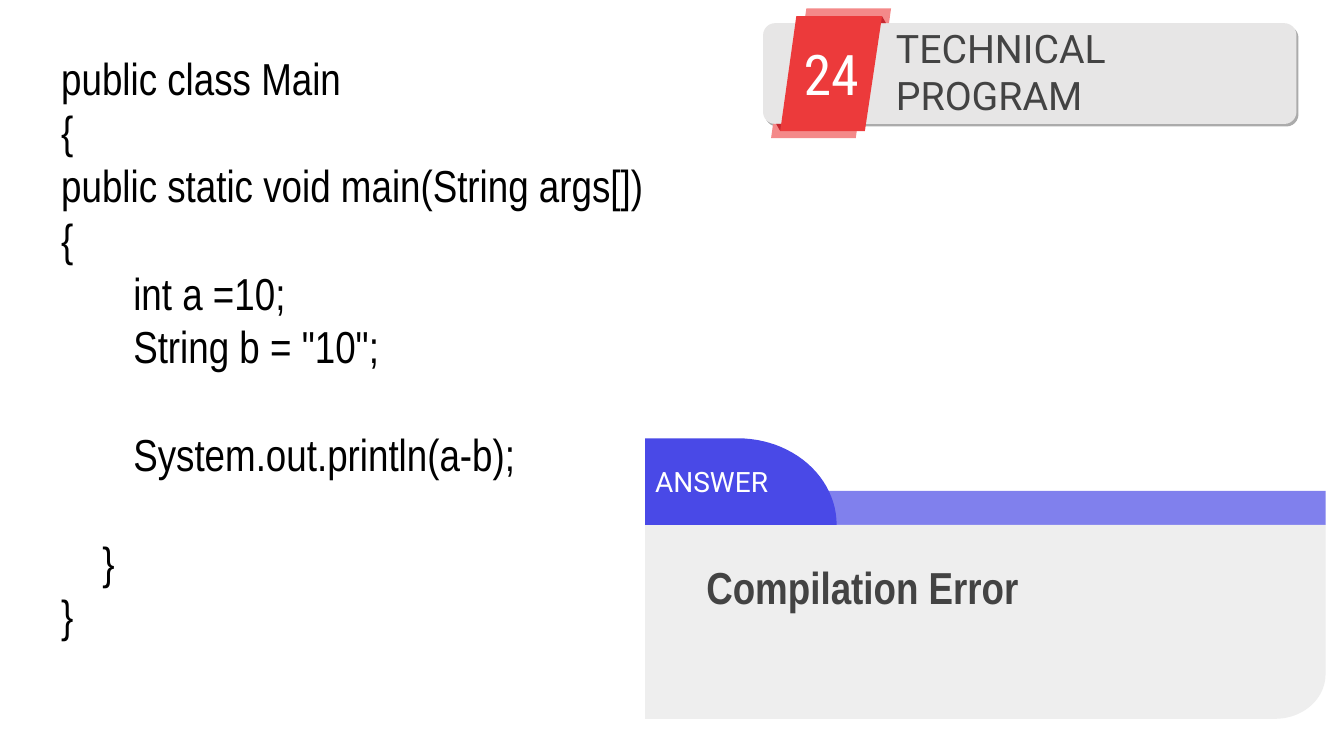
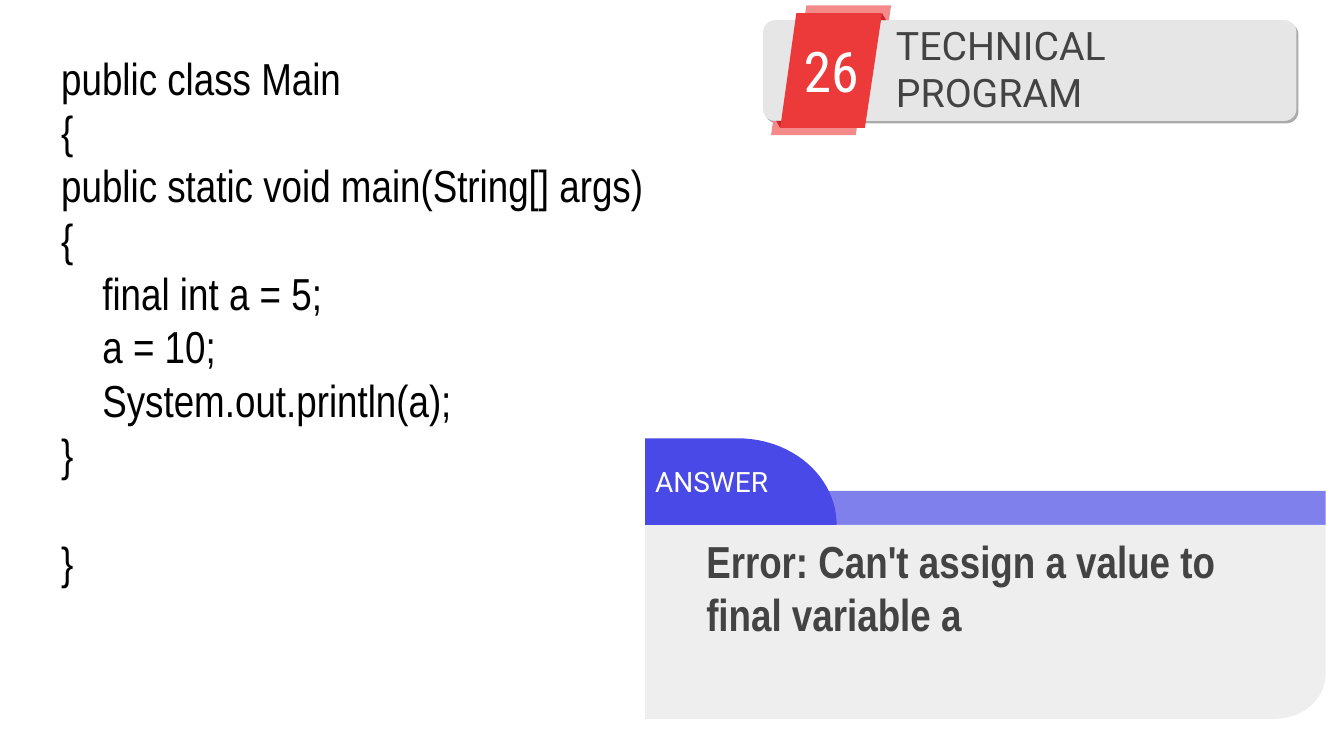
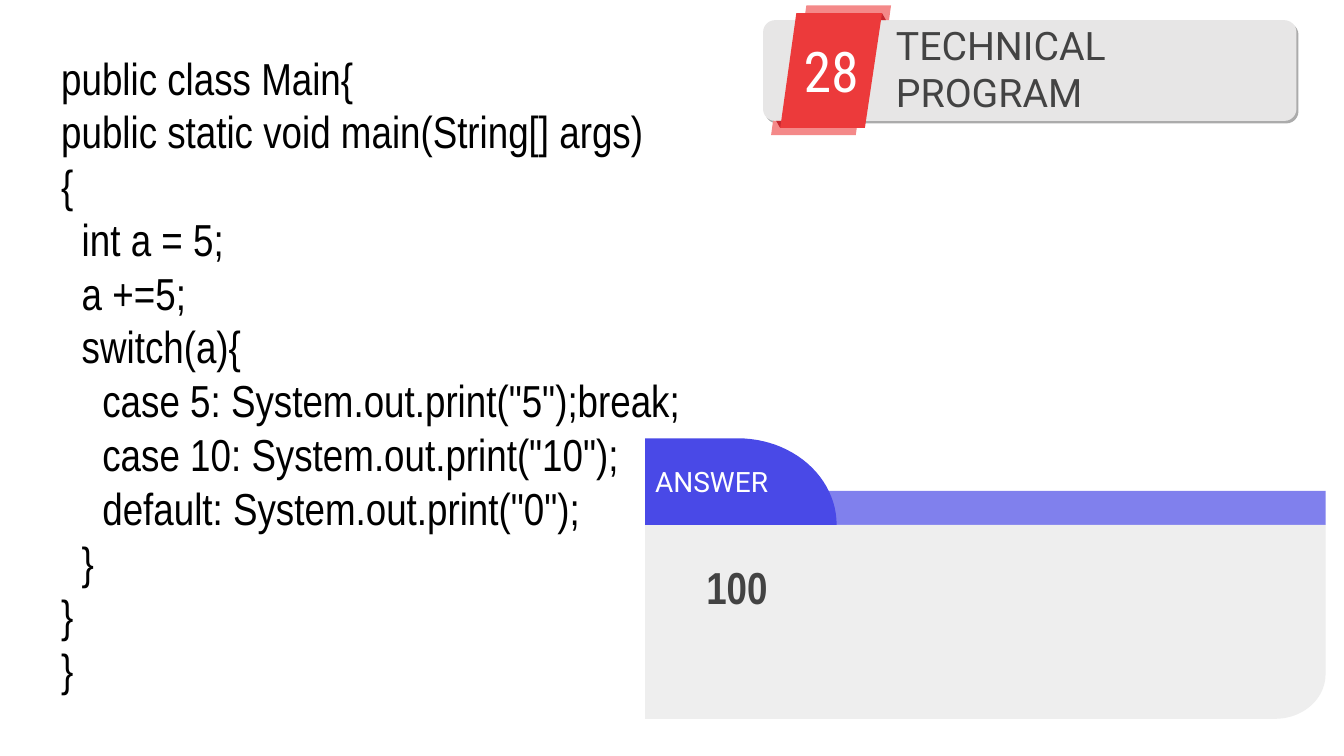
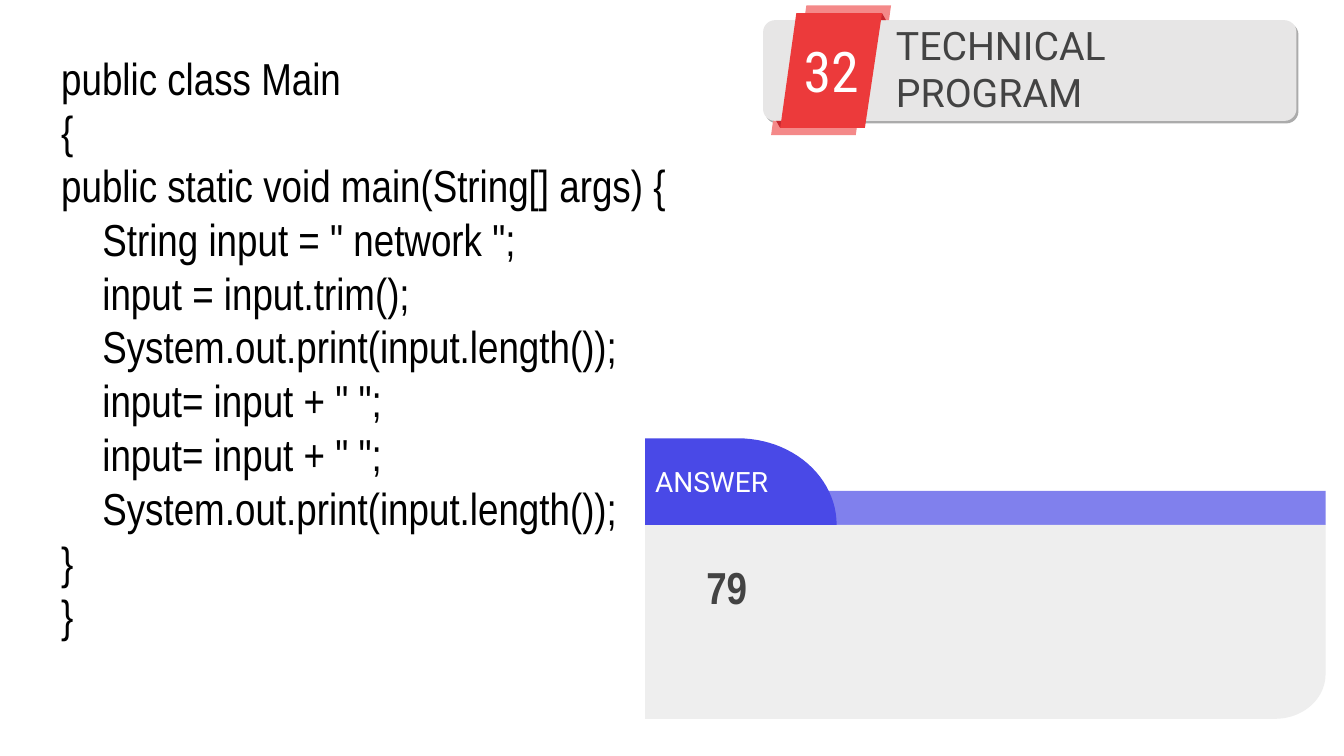
from math import cos, pi, sin

from lxml.etree import SubElement
from pptx import Presentation
from pptx.dml.color import RGBColor as RGB
from pptx.enum.shapes import MSO_SHAPE as SHAPE
from pptx.enum.text import MSO_ANCHOR as ANCHOR, PP_ALIGN as ALIGN
from pptx.oxml.ns import qn
from pptx.util import Inches, Pt

COLS = 160                      # the slide is a grid of 160 x 90 square cells
WIDTH, HEIGHT = Inches(13.33), Inches(7.5)
CELL = WIDTH / COLS

HUES = {
    "ink": "000000", "text": "434343", "white": "FFFFFF",
    "plate": "E7E6E6", "red": "EC3A3B", "pink": "F48989", "fold": "C6282F",
    "blue": "4949E7", "bar": "8080ED", "panel": "EEEEEE",
}
CODE, HEAD, NUM = "Arial Narrow", "Roboto", "Roboto Condensed"
SIZE = 32                       # code and answer, in points
SPACE = 0.23 * SIZE             # width of one space in the code font
LINE = 1.2 * SIZE               # height of one line in the code font

CODE_BOX = (6.1, 5.4, 141, 72)
ANSWER_BOX = (76.8, 52.2, 81, 33.4)

# number, top row of the banner, code, answer
PAGES = [
    ("24", 2.76, '''public class Main
{
public static void main(String args[])
{
       int a =10;
       String b = "10";

       System.out.println(a-b);

    }
}''', "Compilation Error"),
    ("26", 2.4, '''public class Main
{
public static void main(String[] args)
{
    final int a = 5;
    a = 10;
    System.out.println(a);
}

}''', "Error: Can't assign a value to final variable a"),
    ("28", 2.4, '''public class Main{
public static void main(String[] args)
{
  int a = 5;
  a +=5;
  switch(a){
    case 5: System.out.print("5");break;
    case 10: System.out.print("10");
    default: System.out.print("0");
  }
}
}''', "100"),
    ("32", 2.4, '''public class Main
{
public static void main(String[] args) {
    String input = " network ";
    input = input.trim();
    System.out.print(input.length());
    input= input + " ";
    input= input + " ";
    System.out.print(input.length());
}
}''', "79"),
]


def emu(*cells):
    return [round(n * CELL) for n in cells]


def paint(shape, hue, alpha=None):
    shape.shadow.inherit = False
    shape.line.fill.background()
    shape.fill.solid()
    shape.fill.fore_color.rgb = RGB.from_string(HUES[hue])
    if alpha:
        tint = shape.fill._xPr.find(".//" + qn("a:srgbClr"))
        SubElement(tint, qn("a:alpha")).set("val", str(alpha * 1000))
    return shape


def style(para, font, size, hue, bold=False, align=ALIGN.LEFT):
    para.alignment = align
    for run in para.runs:
        run.font.name, run.font.size, run.font.bold = font, Pt(size), bold
        run.font.color.rgb = RGB.from_string(HUES[hue])


def label(shape, text, *look, **more):
    """Write one vertically centred paragraph with equal insets."""
    frame = shape.text_frame
    frame.text = text
    frame.word_wrap = True
    frame.vertical_anchor = ANCHOR.MIDDLE
    frame.margin_left = frame.margin_right = Inches(0.1)
    frame.margin_top = frame.margin_bottom = Inches(0.1)
    style(frame.paragraphs[0], *look, **more)


def outline(shapes, x, y, points, hue):
    """Fill the polygon whose points are offsets from x, y."""
    spots = [emu(x + dx, y + dy) for dx, dy in points]
    pen = shapes.build_freeform(*spots[0], scale=1.0)
    pen.add_line_segments(spots[1:])
    return paint(pen.convert_to_shape(), hue)


def curve(cx, cy, rx, ry, start, steps=24):
    """Points of a quarter ellipse, clockwise on the slide from angle start."""
    turns = [start + pi / 2 * i / steps for i in range(steps + 1)]
    return [(cx + rx * cos(t), cy + ry * sin(t)) for t in turns]


def code(slide, box, text):
    frame = slide.shapes.add_textbox(*emu(*box)).text_frame
    frame.word_wrap = True
    para, gap = frame.paragraphs[0], 0
    for i, line in enumerate(text.split("\n")):
        body = line.lstrip()
        if not body:
            gap += LINE
            continue
        if i:
            para = frame.add_paragraph()
        para.text = body
        para.space_before, gap = Pt(gap), 0
        indent = Pt((len(line) - len(body)) * SPACE)
        para._p.get_or_add_pPr().set("marL", str(indent))
        style(para, CODE, SIZE, "ink")


def banner(slide, box, number):
    x, y, w, h = box
    shapes = slide.shapes.add_group_shape().shapes
    for dx, dy, hue, alpha in ((0.24, 0.3, "ink", 33), (0, 0, "plate", None)):
        plate = shapes.add_shape(SHAPE.ROUNDED_RECTANGLE,
                                 *emu(x + dx, y + dy, w, h))
        plate.adjustments[0] = 0.12
        paint(plate, hue, alpha)
    lip, low = -0.84, h + 0.84
    ribbon = [
        ("pink", [(5.16, -1.75), (4.9, 0), (15, 0), (15.24, -1.75)]),
        ("pink", [(1.2, h), (0.96, h + 1.7), (11.04, h + 1.7), (11.28, h)]),
        ("fold", [(1.56, h), (2.04, low), (9.7, low), (9.7, h)]),
        ("fold", [(6.5, lip), (6.24, 0), (14.64, 0), (14.16, lip)]),
        ("red", [(3.96, lip), (2.04, low), (12.12, low), (14.16, lip)]),
    ]
    for hue, points in ribbon:
        tag = outline(shapes, x, y, points, hue)
    label(tag, number, NUM, 40, "white", align=ALIGN.CENTER)
    title = shapes.add_textbox(*emu(x + 14.64, y + 2.4, 48.24, 6.6))
    label(title, "TECHNICAL PROGRAM", HEAD, 28, "text")


def answer(slide, box, text):
    x, y, w, h = box
    tab, top, rx, ry = 22.8, 10.3, 6, 5.3
    shapes = slide.shapes.add_group_shape().shapes
    bar = emu(x + 16.2, y + 6.24, w - 16.2, top - 6.24)
    paint(shapes.add_shape(SHAPE.RECTANGLE, *bar), "bar")
    corner = curve(w - rx, h - ry, rx, ry, 0)
    outline(shapes, x, y, [(0, top), (w, top), *corner, (0, h)], "panel")
    bend = curve(tab - 11.76, top, 11.76, top, -pi / 2)
    head = outline(shapes, x, y, [(0, top), (0, 0), *bend], "blue")
    label(head, "ANSWER", HEAD, 20, "white")
    note = shapes.add_textbox(*emu(x + 6.1, y + 12.96, 66.6, 9.5))
    label(note, text, CODE, SIZE, "text", bold=True)


def main():
    deck = Presentation()
    deck.slide_width, deck.slide_height = WIDTH, HEIGHT
    for number, top, text, result in PAGES:
        slide = deck.slides.add_slide(deck.slide_layouts[6])
        code(slide, CODE_BOX, text)
        banner(slide, (90.84, top, 63.5, 12), number)
        answer(slide, ANSWER_BOX, result)
    deck.save("out.pptx")


if __name__ == "__main__":
    main()
